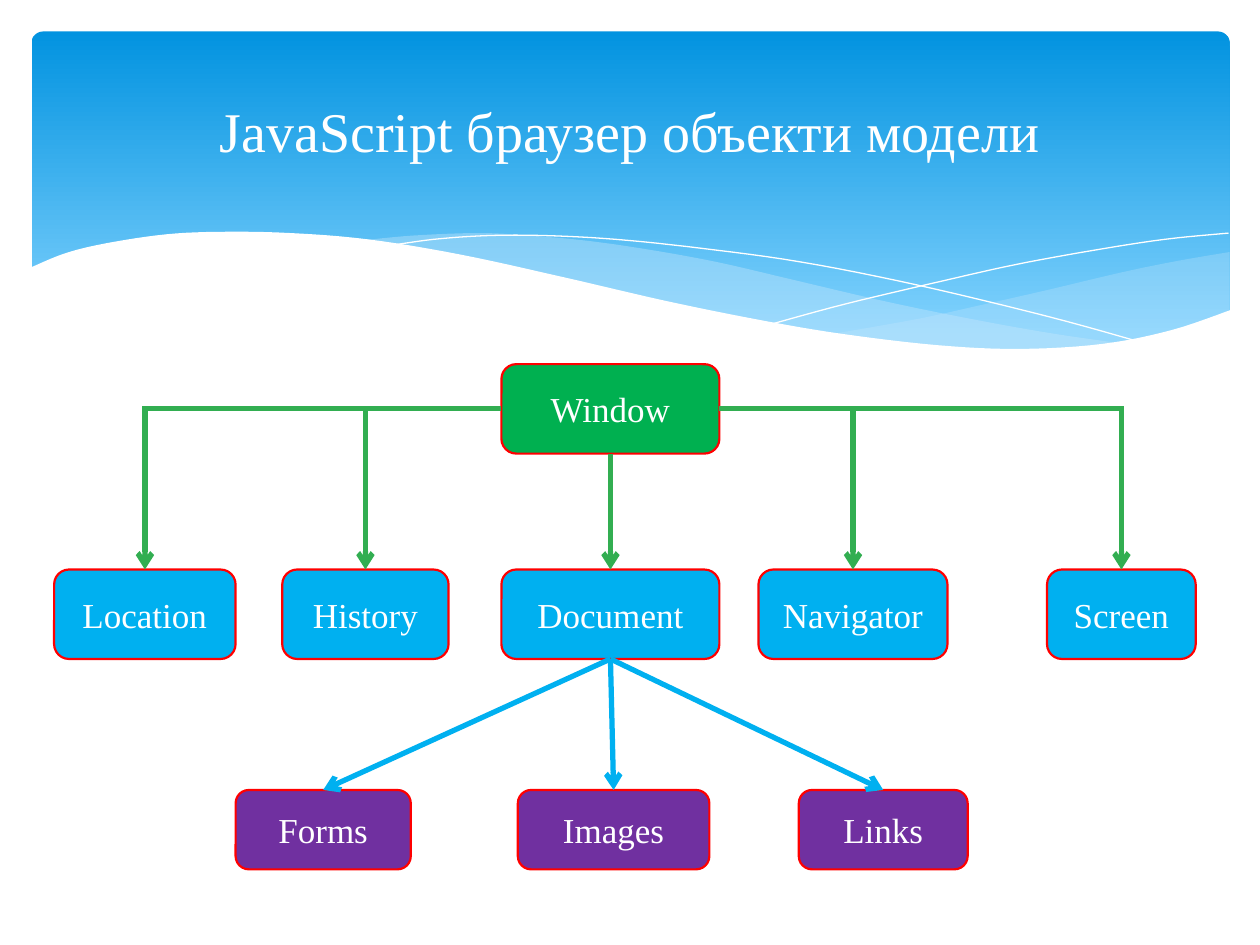
import pptx
import pptx.util
import pptx.dml.color
import pptx.enum.shapes
import pptx.enum.text
import pptx.oxml
import pptx.oxml.ns

Inches, Pt = pptx.util.Inches, pptx.util.Pt
RGBColor = pptx.dml.color.RGBColor
MSO_SHAPE = pptx.enum.shapes.MSO_SHAPE
qn = pptx.oxml.ns.qn

WHITE = RGBColor(0xFF, 0xFF, 0xFF)
DEEP = RGBColor(0x02, 0x93, 0xE0)
SKY = RGBColor(0x83, 0xD3, 0xFE)
MIST = RGBColor(0xC6, 0xE7, 0xFC)
RED = RGBColor(0xFF, 0x00, 0x00)
GREEN = RGBColor(0x00, 0xB0, 0x50)
LEAF = RGBColor(0x32, 0xAE, 0x51)
BLUE = RGBColor(0x00, 0xB0, 0xF0)
PURPLE = RGBColor(0x70, 0x30, 0xA0)
FONT = "Times New Roman"

TITLE = "JavaScript браузер объекти модели"

# Each row: fill, top, height, then (label, left, width) per box
ROWS = [
    (GREEN, 2.89, 0.71, [("Window", 3.98, 1.73)]),
    (BLUE, 4.52, 0.71, [("Location", 0.43, 1.44), ("History", 2.24, 1.32),
                        ("Document", 3.98, 1.73), ("Navigator", 6.02, 1.5),
                        ("Screen", 8.31, 1.18)]),
    (PURPLE, 6.27, 0.63, [("Forms", 1.87, 1.39), ("Images", 4.11, 1.52),
                          ("Links", 6.34, 1.34)]),
]

# Waves: lists of curves; neighbouring curves meet in a corner
RIGHT = [
    [(9.76, 2), (9.35, 2.07), (8.91, 2.16), (8.32, 2.3), (7.79, 2.42),
     (7.29, 2.53), (6.61, 2.65)],
    [(6.61, 2.65), (7.05, 2.71), (7.57, 2.76), (8.03, 2.78), (8.44, 2.77),
     (8.89, 2.72), (9.35, 2.62), (9.76, 2.47)],
]
LEFT = [
    [(8.93, 2.73), (8.37, 2.65), (7.75, 2.54), (7.06, 2.4), (6.29, 2.22),
     (5.69, 2.08), (5.14, 1.98), (4.65, 1.91), (4.2, 1.87), (3.8, 1.85),
     (3.28, 1.87), (2.86, 1.91)],
    [(2.86, 1.91), (3.42, 1.99), (4.04, 2.11), (4.49, 2.22), (5.3, 2.4),
     (6.01, 2.55), (6.65, 2.66), (7.22, 2.74), (7.73, 2.77), (8.18, 2.78),
     (8.57, 2.77), (8.93, 2.73)],
]
FALL = [[(3.09, 1.95), (3.44, 1.9), (3.87, 1.87), (4.33, 1.87), (4.89, 1.9),
         (5.56, 1.97), (6.36, 2.08), (7.27, 2.26), (8.31, 2.51), (9.07, 2.72)]]
RISE = [[(6.13, 2.57), (6.72, 2.41), (7.48, 2.23), (8.06, 2.1), (8.66, 1.99),
         (9.24, 1.9), (9.75, 1.85)]]
FRONT = [
    [(9.77, 2.46), (9.3, 2.62), (8.75, 2.73), (8.09, 2.77), (7.44, 2.74),
     (6.68, 2.65), (6.03, 2.54), (5.29, 2.39), (4.47, 2.2), (3.65, 2.02),
     (2.92, 1.9), (2.3, 1.85), (1.77, 1.84), (1.32, 1.86), (0.85, 1.93),
     (0.52, 2.01), (0.23, 2.13)],
    [(0.23, 3.29)], [(9.77, 3.29)],
]
# points, fill, opacity in percent, closed
WAVES = [(RIGHT, MIST, 29, True), (LEFT, MIST, 40, True),
         (FALL, None, 100, False), (RISE, None, 100, False),
         (FRONT, WHITE, 100, True)]


def smooth(pts, steps=6):
    """Return points on a Catmull-Rom curve through pts."""
    ext = [pts[0], *pts, pts[-1]]
    out = [pts[0]]
    for a, b, c, d in zip(ext, ext[1:], ext[2:], ext[3:]):
        for n in range(1, steps + 1):
            t = n / steps
            out.append(tuple(
                q + t * (r - p) / 2 + t * t * (2 * p - 5 * q + 4 * r - s) / 2
                + t ** 3 * (3 * q - p - 3 * r + s) / 2
                for p, q, r, s in zip(a, b, c, d)))
    return out


def add_wave(curves, color, alpha, closed):
    """Draw a filled wave, or a hairline when it is open."""
    pts = [(Inches(x), Inches(y)) for part in curves for x, y in smooth(part)]
    pen = shapes.build_freeform(*pts[0])
    pen.add_line_segments(pts[1:], close=closed)
    wave = pen.convert_to_shape()
    wave.shadow.inherit = False
    if closed:
        wave.fill.solid()
        wave.fill.fore_color.rgb = color
        wave.line.fill.background()
        if alpha < 100:
            tint = wave.fill.fore_color._xFill.find(qn("a:srgbClr"))
            pptx.oxml.ns  # namespace helpers
            node = tint.makeelement(qn("a:alpha"), {"val": str(alpha * 1000)})
            tint.append(node)
    else:
        wave.fill.background()
        wave.line.color.rgb = WHITE
        wave.line.width = Pt(0)


def set_text(shape, text, size):
    """Write one centred white line in the middle of a shape."""
    frame = shape.text_frame
    frame.word_wrap = True
    frame.vertical_anchor = pptx.enum.text.MSO_ANCHOR.MIDDLE
    par = frame.paragraphs[0]
    par.text = text
    par.alignment = pptx.enum.text.PP_ALIGN.CENTER
    par.font.size, par.font.name = Pt(size), FONT
    par.font.color.rgb = WHITE


def add_box(text, left, top, width, height, color):
    """Add a labelled rounded box."""
    box = shapes.add_shape(MSO_SHAPE.ROUNDED_RECTANGLE, Inches(left),
                           Inches(top), Inches(width), Inches(height))
    box.shadow.inherit = False
    box.fill.solid()
    box.fill.fore_color.rgb = color
    box.line.color.rgb, box.line.width = RED, Pt(1.25)
    set_text(box, text, 20)


def add_line(start, end, color, arrow=True):
    """Add a straight line, with an arrowhead at its end if asked."""
    line = shapes.add_connector(pptx.enum.shapes.MSO_CONNECTOR.STRAIGHT,
                                *map(Inches, start + end))
    line.line.color.rgb, line.line.width = color, Pt(3)
    props = line._element.spPr
    if arrow:
        edge = line.line._get_or_add_ln()
        edge.append(edge.makeelement(qn("a:tailEnd"), {"type": "arrow"}))
    props.append(props.makeelement(qn("a:effectLst"), {}))


deck = pptx.Presentation()
deck.slide_width, deck.slide_height = Inches(10), Inches(7.5)
shapes = deck.slides.add_slide(deck.slide_layouts[6]).shapes

band = shapes.add_shape(MSO_SHAPE.ROUNDED_RECTANGLE, Inches(0.25),
                        Inches(0.25), Inches(9.51), Inches(2.7))
band.adjustments[0] = 0.034
band.shadow.inherit = False
band.line.fill.background()
band.fill.gradient()
band.fill.gradient_angle = 270
for stop, color, place in zip(band.fill.gradient_stops, (DEEP, SKY), (0, 0.9)):
    stop.color.rgb, stop.position = color, place

for wave in WAVES:
    add_wave(*wave)

title = shapes.add_textbox(Inches(0.5), Inches(0.37), Inches(9), Inches(1.33))
set_text(title, TITLE, 32)

mid = {}
for color, top, height, boxes in ROWS:
    for label, left, width in boxes:
        add_box(label, left, top, width, height, color)
        mid[label] = left + width / 2

(_, top, high, [(_, left, wide)]), (_, row, deep, kids), (_, last, _, leaves) = ROWS
rail = top + high / 2
add_line((left, rail), (mid["Location"], rail), LEAF, False)
add_line((left + wide, rail), (mid["Screen"], rail), LEAF, False)
for label, *_ in kids:
    start = top + high if label == "Document" else rail - 0.02
    add_line((mid[label], start), (mid[label], row), LEAF)
for label, *_ in leaves:
    add_line((mid["Document"], row + deep), (mid[label], last), BLUE)

deck.save("out.pptx")
